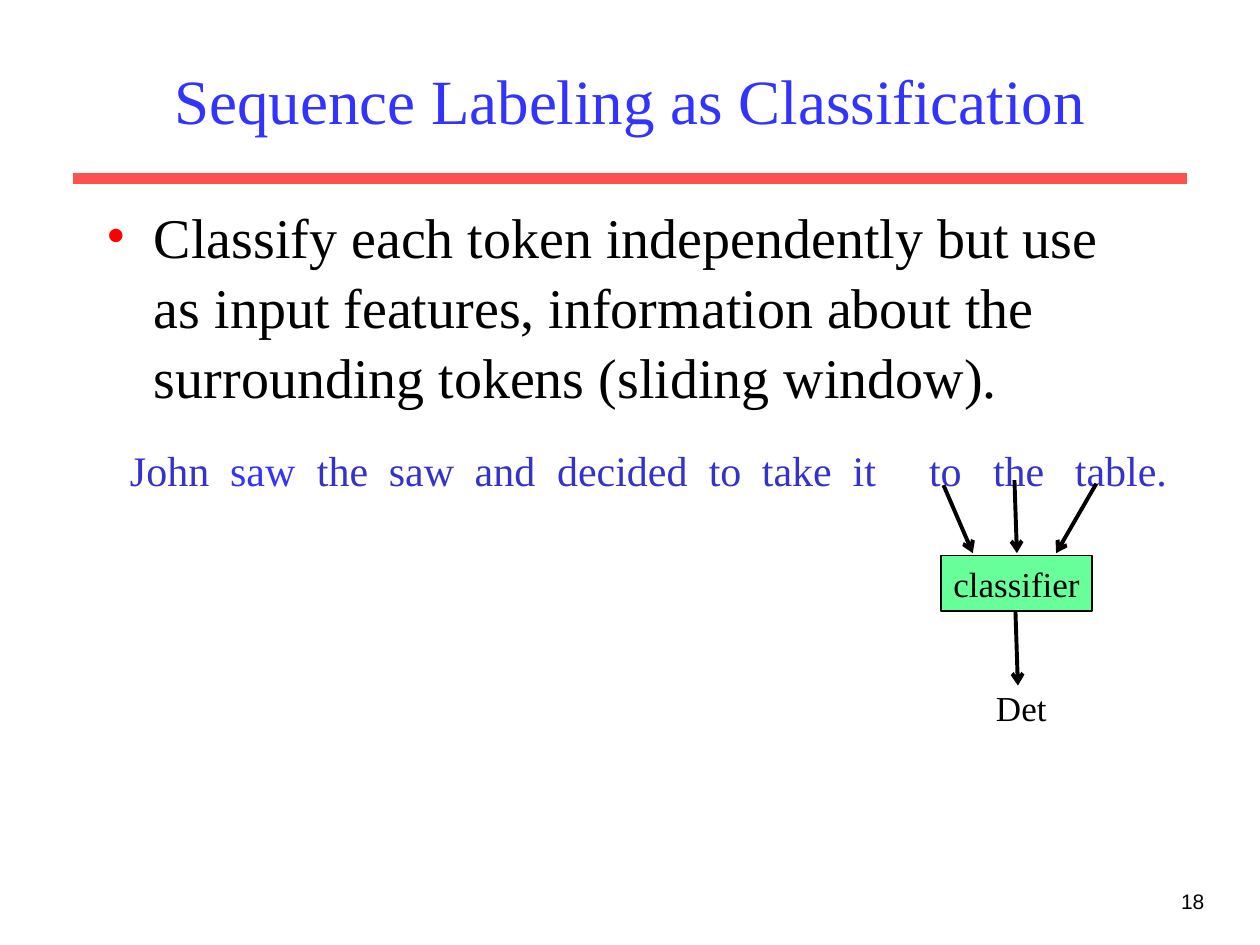
"""Builds the slide on sequence labeling as sliding-window classification."""
from lxml.etree import SubElement
from pptx import Presentation
from pptx.dml.color import RGBColor
from pptx.enum.shapes import MSO_CONNECTOR as Connector, MSO_SHAPE as Shape
from pptx.enum.text import MSO_ANCHOR as Anchor, MSO_AUTO_SIZE as AutoSize, PP_ALIGN as Align
from pptx.oxml.ns import qn
from pptx.util import Cm, Pt

BLACK = RGBColor(0x00, 0x00, 0x00)
RED = RGBColor(0xFF, 0x00, 0x00)
CORAL = RGBColor(0xFF, 0x50, 0x50)
BLUE = RGBColor(0x33, 0x33, 0xFF)
INDIGO = RGBColor(0x33, 0x33, 0xCC)
GREEN = RGBColor(0x66, 0xFF, 0x99)
SERIF = "Times New Roman"

TITLE = "Sequence Labeling as Classification"
BODY = ("Classify each token independently but use as input features, "
        "information about the surrounding tokens (sliding window).")
TOKENS = [("John", 0), ("saw", 2.02), ("the", 3.77), ("saw", 5.22),
          ("and", 6.95), ("decided", 8.61), ("to", 11.67), ("take", 12.74),
          ("it", 14.57), ("to", 16.11), ("the", 17.4), ("table.", 19.05)]
FOCUS = 1
ARROWS = [((19.02, 9.78), (19.61, 11.15)), ((22.1, 9.75), (21.29, 11.15)),
          ((20.45, 9.68), (20.5, 11.15)), ((20.47, 12.32), (20.52, 13.82))]


def place(shape, left, top, width, height):
    shape.left, shape.top, shape.width, shape.height = map(Cm, (left, top, width, height))
    return shape


def write(shape, text, size=20, color=BLACK, font=SERIF, align=Align.CENTER,
          anchor=Anchor.TOP, wrap=True, bullet=None, tabs=(), spacing=None):
    frame = shape.text_frame
    frame.auto_size, frame.word_wrap, frame.vertical_anchor = AutoSize.NONE, wrap, anchor
    paragraph = frame.paragraphs[0]
    paragraph.alignment, paragraph.line_spacing = align, spacing
    paragraph.space_before = Pt(0)
    props = paragraph._p.get_or_add_pPr()
    if bullet:
        props.set("marL", str(Cm(0.95)))
        props.set("indent", str(Cm(-0.95)))
        bullet_color = SubElement(props, qn("a:buClr"))
        SubElement(bullet_color, qn("a:srgbClr"), val=str(bullet))
        SubElement(props, qn("a:buFont"), typeface=SERIF)
        SubElement(props, qn("a:buChar"), char="•")
    if tabs:
        stops = SubElement(props, qn("a:tabLst"))
        for stop in tabs:
            SubElement(stops, qn("a:tab"), pos=str(Cm(stop)), algn="l")
    runs = [(text, color)] if isinstance(text, str) else text
    for words, run_color in runs:
        run = paragraph.add_run()
        run.text = words
        run.font.name, run.font.size, run.font.color.rgb = font, Pt(size), run_color


def connect(slide, start, end, color=BLACK, width=2.25, arrow=True):
    line = slide.shapes.add_connector(Connector.STRAIGHT, *map(Cm, start + end))
    line.line.color.rgb, line.line.width = color, Pt(width)
    if arrow:
        SubElement(line.line._get_or_add_ln(), qn("a:tailEnd"), type="arrow")
    SubElement(line._element.spPr, qn("a:effectLst"))


def textbox(slide, *box):
    return slide.shapes.add_textbox(*map(Cm, box))


def main():
    deck = Presentation()
    deck.slide_width, deck.slide_height = Cm(25.4), Cm(19.05)
    slide = deck.slides.add_slide(deck.slide_layouts[1])
    connect(slide, (1.48, 3.6), (23.93, 3.6), color=CORAL, width=6, arrow=False)
    write(textbox(slide, 19.25, 17.78, 5.28, 1.27), "18", size=12, font="Arial", align=Align.RIGHT)

    title = place(slide.shapes.title, 1.9, 0.64, 21.6, 2.74)
    write(title, TITLE, size=36, color=BLUE, anchor=Anchor.MIDDLE)
    body = place(slide.placeholders[1], 1.9, 3.9, 21.6, 13)
    write(body, BODY, size=32, align=Align.LEFT, bullet=RED, spacing=1.04)

    sentence = [(("\t" if i else "") + word, BLUE if i == FOCUS else INDIGO)
                for i, (word, _) in enumerate(TOKENS)]
    write(textbox(slide, 2.37, 8.84, 21.9, 1.27), sentence, size=24,
          align=Align.LEFT, tabs=[stop for _, stop in TOKENS[1:]])

    classifier = slide.shapes.add_shape(Shape.RECTANGLE, *map(Cm, (18.97, 11.2, 3.05, 1.12)))
    classifier.shadow.inherit = False
    classifier.fill.solid()
    classifier.fill.fore_color.rgb = GREEN
    classifier.line.color.rgb, classifier.line.width = BLACK, Pt(1)
    write(classifier, "classifier", anchor=Anchor.MIDDLE, wrap=False)
    for start, end in ARROWS:
        connect(slide, start, end)
    write(textbox(slide, 19.83, 13.72, 1.52, 1.12), "Det", wrap=False)
    deck.save("out.pptx")


if __name__ == "__main__":
    main()
